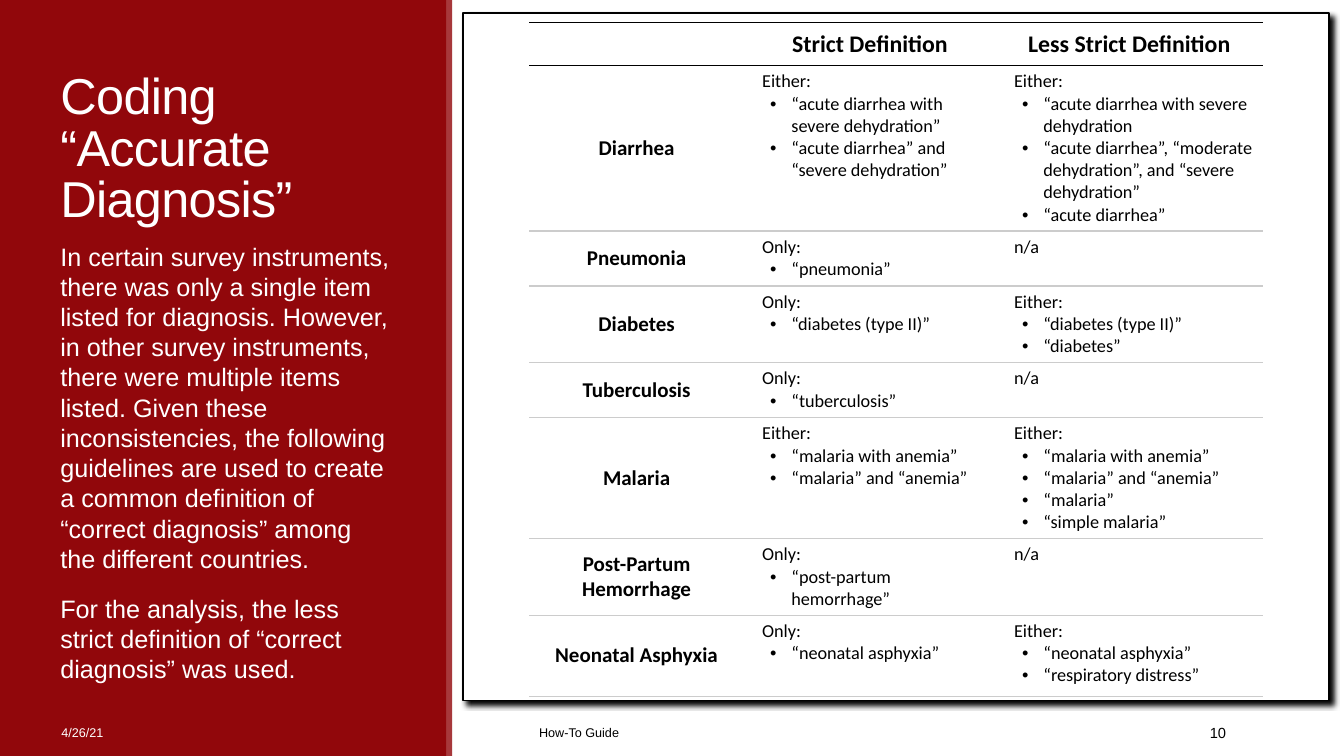
from lxml.etree import SubElement
from pptx import Presentation
from pptx.dml.color import RGBColor
from pptx.enum.shapes import MSO_SHAPE as SHAPE
from pptx.enum.text import MSO_ANCHOR as ANCHOR, MSO_AUTO_SIZE as AUTO, PP_ALIGN as ALIGN
from pptx.oxml.ns import qn
from pptx.util import Inches, Pt

WHITE = RGBColor(0xFF, 0xFF, 0xFF)
BLACK = RGBColor(0, 0, 0)
RED = RGBColor(0x91, 0x07, 0x0B)
GREY = RGBColor(0xCC, 0xCC, 0xCC)

SLIDE_W, SLIDE_H = Inches(13.33), Inches(7.5)
NO_STYLE = "{2D5ABB26-0587-4C30-8999-92F81FD0307C}"
COLUMNS = (15.98, 18.75, 19.85)
ROWS = (5.73, 21.87, 7.27, 10.13, 7.27, 16, 10.13, 10.73)
HEADINGS = ("Strict Definition", "Less Strict Definition")
DEFINITIONS = [
    ("Diarrhea",
     ("Either:", "“acute diarrhea with severe dehydration”",
      "“acute diarrhea” and “severe dehydration”"),
     ("Either:", "“acute diarrhea with severe dehydration",
      "“acute diarrhea”, “moderate dehydration”, and “severe dehydration”",
      "“acute diarrhea”")),
    ("Pneumonia", ("Only:", "“pneumonia”"), ("n/a",)),
    ("Diabetes", ("Only:", "“diabetes (type II)”"),
     ("Either:", "“diabetes (type II)”", "“diabetes”")),
    ("Tuberculosis", ("Only:", "“tuberculosis”"), ("n/a",)),
    ("Malaria",
     ("Either:", "“malaria with anemia”", "“malaria” and “anemia”"),
     ("Either:", "“malaria with anemia”", "“malaria” and “anemia”",
      "“malaria”", "“simple malaria”")),
    ("Post-Partum Hemorrhage", ("Only:", "“post-partum hemorrhage”"), ("n/a",)),
    ("Neonatal Asphyxia", ("Only:", "“neonatal asphyxia”"),
     ("Either:", "“neonatal asphyxia”", "“respiratory distress”")),
]
GUIDELINES = (
    "In certain survey instruments, there was only a single item listed for diagnosis. "
    "However, in other survey instruments, there were multiple items listed. Given these "
    "inconsistencies, the following guidelines are used to create a common definition of "
    "“correct diagnosis” among the different countries.",
    "For the analysis, the less strict definition of “correct diagnosis” was used.",
)


def across(share):
    """Return a percentage of the slide width."""
    return int(SLIDE_W * share / 100)


def down(share):
    """Return a percentage of the slide height."""
    return int(SLIDE_H * share / 100)


def box(x, y, w, h):
    """Return left, top, width and height from percentages of the slide."""
    return across(x), down(y), across(w), down(h)


def set_font(p, size, color, name="Arial", bold=False):
    """Format a whole paragraph."""
    p.font.name, p.font.size, p.font.bold = name, Pt(size), bold
    p.font.color.rgb = color


def add_rect(s, place, color):
    """Add a plain rectangle without line or shadow."""
    sp = s.shapes.add_shape(SHAPE.RECTANGLE, *place)
    sp.shadow.inherit = False
    sp.fill.solid()
    sp.fill.fore_color.rgb = color
    sp.line.fill.background()
    return sp


def add_card(s, place):
    """Add the white card with its outline and hard shadow."""
    sp = add_rect(s, place, WHITE)
    sp.line.color.rgb = BLACK
    sp.line.width = Pt(1.25)
    effects = sp._element.spPr.find(qn("a:effectLst"))
    shadow = SubElement(effects, qn("a:outerShdw"), blurRad=str(Pt(4)), dist=str(Pt(4)),
                        dir="2700000", algn="tl", rotWithShape="0")
    SubElement(shadow, qn("a:srgbClr"), val=str(BLACK))


def set_title(s, place, text):
    """Bring the title placeholder to the front, place it and format it."""
    sp = s.shapes.title
    s.shapes._spTree.append(sp._element)
    sp.left, sp.top, sp.width, sp.height = place
    tf = sp.text_frame
    tf.text, tf.vertical_anchor, tf.auto_size = text, ANCHOR.BOTTOM, AUTO.NONE
    p = tf.paragraphs[0]
    p.alignment, p.line_spacing = ALIGN.LEFT, 0.85
    set_font(p, 36, WHITE)
    p._p.pPr.find(qn("a:defRPr")).set("spc", "-50")


def add_text(s, place, texts, size, color, anchor=ANCHOR.MIDDLE, align=ALIGN.LEFT):
    """Add a wrapped text box with one paragraph per text."""
    tf = s.shapes.add_textbox(*place).text_frame
    tf.word_wrap, tf.vertical_anchor = True, anchor
    for i, text in enumerate(texts):
        p = tf.add_paragraph() if i else tf.paragraphs[0]
        p.text, p.alignment = text, align
        if i:
            p.space_before = Pt(14)
        set_font(p, size, color)


def style_cell(cell, top, bottom):
    """Give a cell its margins, white fill and horizontal rules."""
    cell.margin_left = cell.margin_right = across(0.6)
    cell.margin_top = cell.margin_bottom = down(0.67)
    tc_pr = cell._tc.get_or_add_tcPr()
    for tag, color in (("a:lnT", top), ("a:lnB", bottom)):
        line = SubElement(tc_pr, qn(tag), w=str(Pt(1)))
        SubElement(SubElement(line, qn("a:solidFill")), qn("a:srgbClr"), val=str(color))
    cell.fill.solid()
    cell.fill.fore_color.rgb = WHITE


def fill_label(cell, text, size):
    """Write a bold centred label."""
    cell.text, cell.vertical_anchor = text, ANCHOR.MIDDLE
    p = cell.text_frame.paragraphs[0]
    p.alignment = ALIGN.CENTER
    set_font(p, size, BLACK, "Calibri", True)


def fill_criteria(cell, lines):
    """Write a lead line followed by bulleted criteria."""
    tf = cell.text_frame
    for i, text in enumerate(lines):
        p = tf.add_paragraph() if i else tf.paragraphs[0]
        p.text = text
        p_pr = p._p.get_or_add_pPr()
        p_pr.set("marL", str(across(2.93 if i else 0.75)))
        p_pr.set("indent", str(-across(1.58) if i else 0))
        if i:
            SubElement(p_pr, qn("a:buFont"), typeface="Arial")
            SubElement(p_pr, qn("a:buChar"), char="•")
        set_font(p, 13, BLACK, "Calibri")


def add_definitions(s, x, y):
    """Add the table of strict and less strict definitions."""
    place = box(x, y, sum(COLUMNS), sum(ROWS))
    table = s.shapes.add_table(len(ROWS), len(COLUMNS), *place).table
    table._tbl.tblPr.find(qn("a:tableStyleId")).text = NO_STYLE
    table.first_row = table.horz_banding = False
    for column, share in zip(table.columns, COLUMNS):
        column.width = across(share)
    for i, share in enumerate(ROWS):
        table.rows[i].height = down(share)
        for cell in table.rows[i].cells:
            style_cell(cell, BLACK if i < 2 else GREY, GREY if i else BLACK)
    for j, heading in enumerate(HEADINGS, 1):
        fill_label(table.cell(0, j), heading, 17)
    for i, (disease, *criteria) in enumerate(DEFINITIONS, 1):
        fill_label(table.cell(i, 0), disease, 15)
        for j, lines in enumerate(criteria, 1):
            fill_criteria(table.cell(i, j), lines)


def main():
    """Build the slide and save it."""
    prs = Presentation()
    prs.slide_width, prs.slide_height = SLIDE_W, SLIDE_H
    s = prs.slides.add_slide(prs.slide_layouts[5])
    add_rect(s, box(0, 0, 33.2, 100), RED)
    strip = add_rect(s, box(33.15, 0, 0.5, 100), RED)
    color = strip._element.spPr.find(qn("a:solidFill")).find(qn("a:srgbClr"))
    SubElement(color, qn("a:alpha"), val="80000")
    add_card(s, box(34.43, 1.73, 64.43, 90.93))
    set_title(s, box(3.75, 8.67, 26.25, 22.13), "Coding “Accurate Diagnosis”")
    add_definitions(s, 39.38, 2.95)
    add_text(s, box(3.75, 31.2, 26.25, 60.67), GUIDELINES, 18, WHITE, ANCHOR.TOP)
    add_text(s, box(3.83, 94.2, 26.18, 5.33), ["4/26/21"], 9, WHITE)
    add_text(s, box(39.38, 94.2, 38.1, 5.33), ["How-To Guide"], 9, BLACK)
    add_text(s, box(81.23, 94.2, 10.73, 5.33), ["10"], 10.5, BLACK, align=ALIGN.RIGHT)
    prs.save("out.pptx")


if __name__ == "__main__":
    main()
